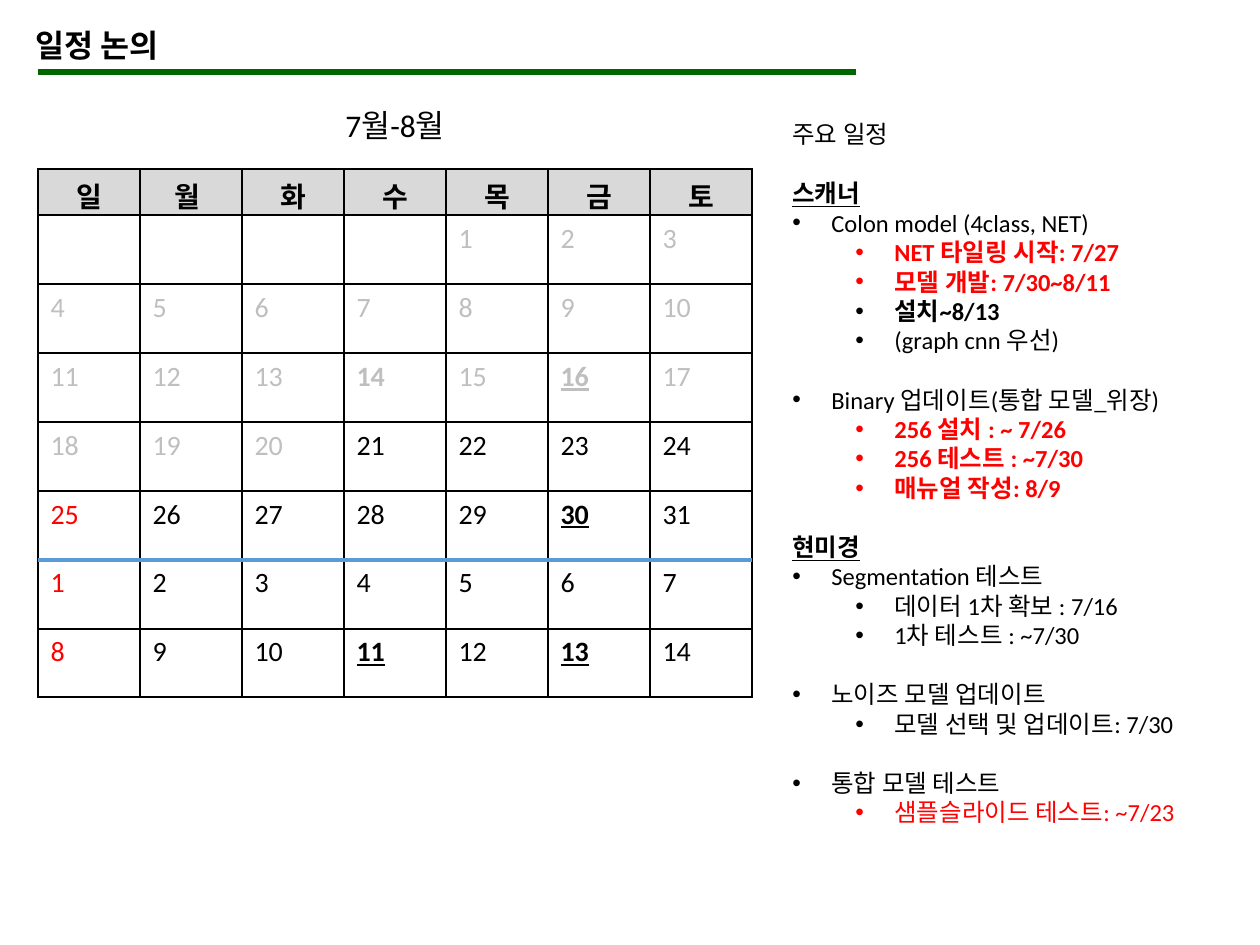
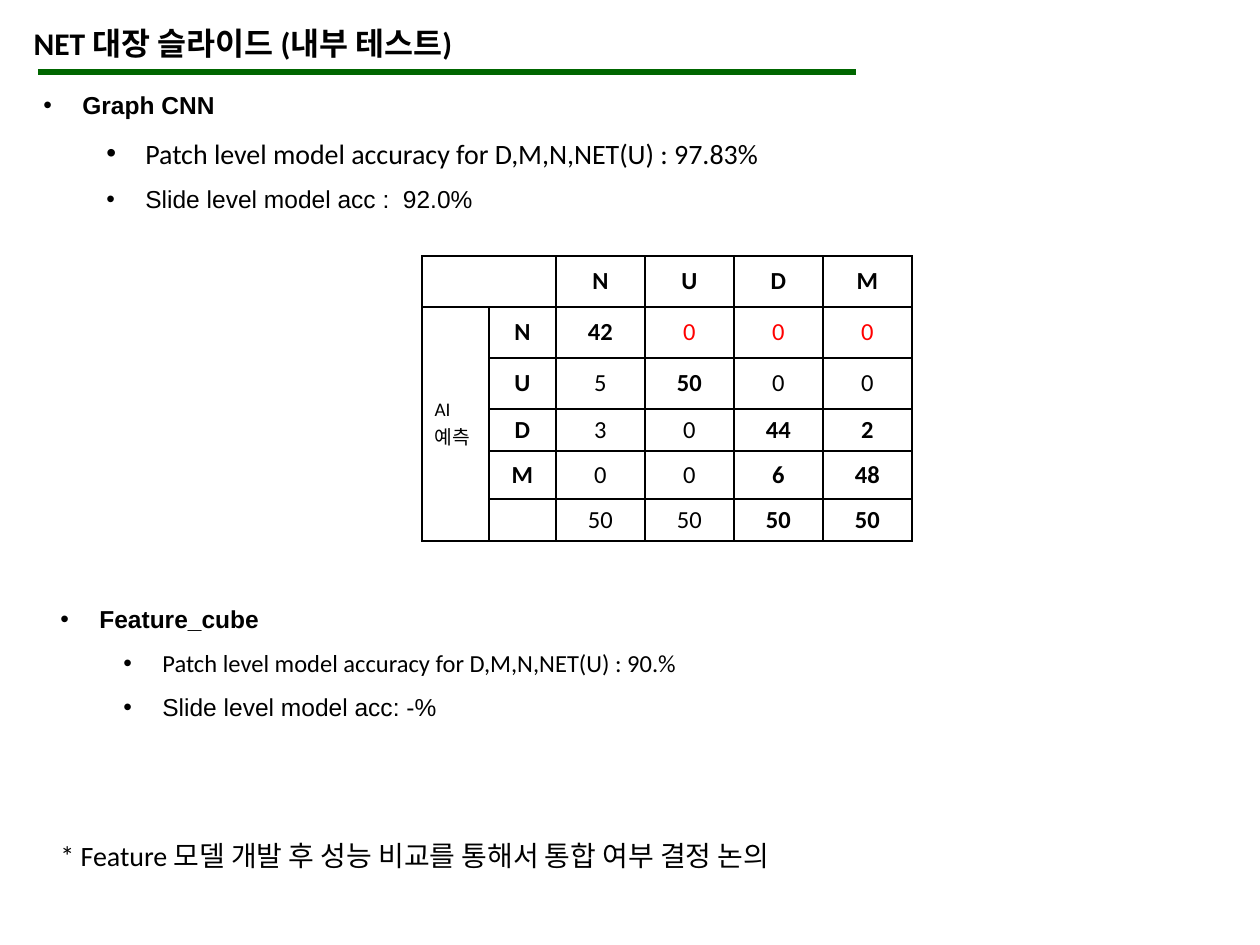
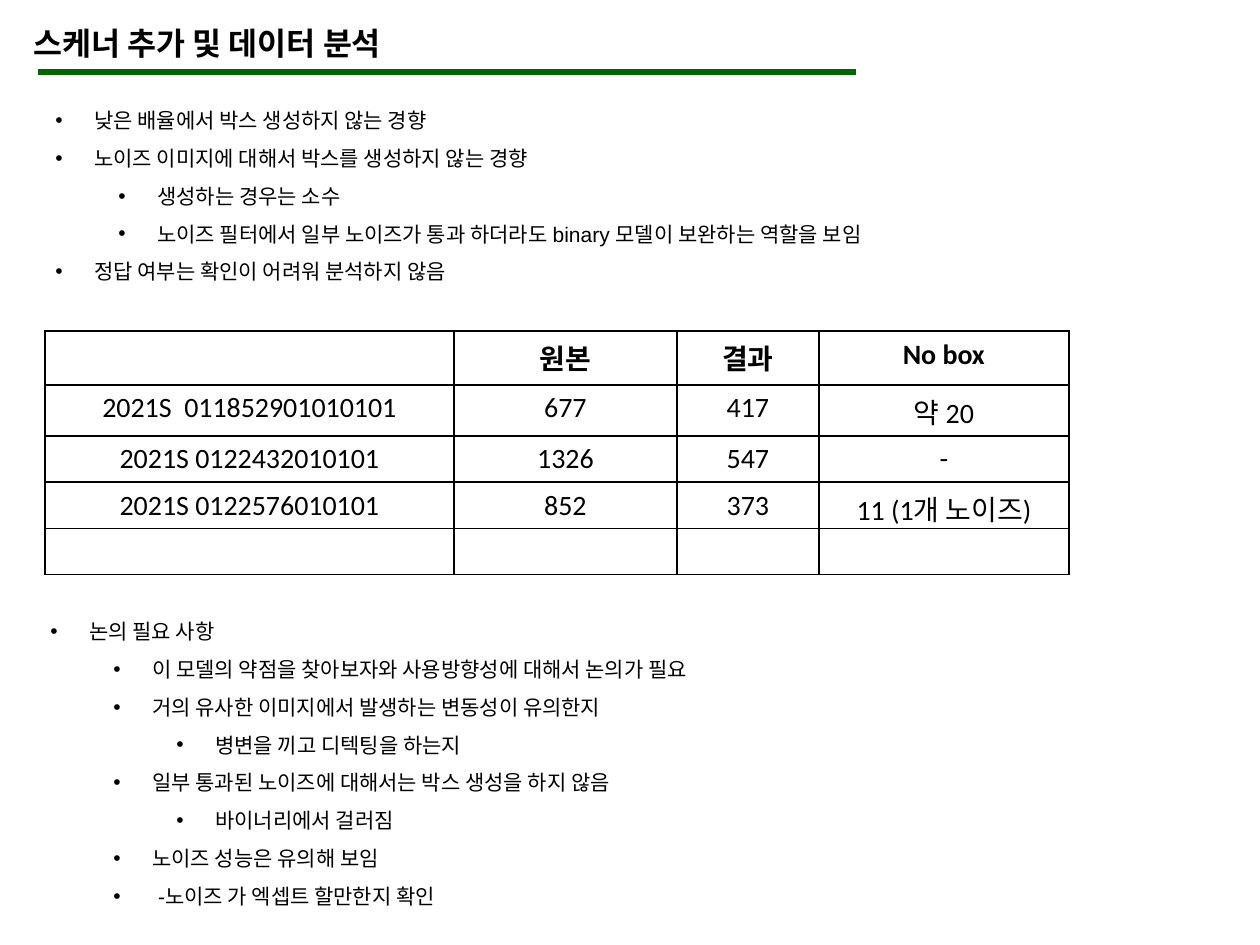
import dataclasses
import typing

import lxml.etree
import pptx
import pptx.dml.color
import pptx.enum.shapes
import pptx.enum.text
import pptx.oxml.ns
import pptx.util

PX_PER_INCH = 126
BLACK, WHITE, RED = "000000", "FFFFFF", "FF0000"
GREEN, BLUE, PAST_GRAY, HEADER_GRAY = "006600", "5B9BD5", "BFBFBF", "D9D9D9"
BODY_FONT, LIST_FONT = "Calibri", "Arial"
INDENT, LEVEL_STEP = 39, 63
CENTER = pptx.enum.text.PP_ALIGN.CENTER
TOP = pptx.enum.text.MSO_ANCHOR.TOP
MIDDLE = pptx.enum.text.MSO_ANCHOR.MIDDLE


class Box(typing.NamedTuple):
    left: int
    top: int
    width: int
    height: int


@dataclasses.dataclass
class Entry:
    text: str
    level: int | None = 0
    size: int = 14
    font: str = BODY_FONT
    color: str = BLACK
    bold: bool = False
    underline: bool = False
    space_before: int = 0


@dataclasses.dataclass
class Cell:
    text: str = ""
    size: int = 16
    color: str = BLACK
    bold: bool = False
    underline: bool = False
    centered: bool = True
    fill: str = WHITE
    anchor: typing.Any = TOP


def px(length: int) -> int:
    return round(length * 914400 / PX_PER_INCH)


def rgb(value: str) -> pptx.dml.color.RGBColor:
    return pptx.dml.color.RGBColor.from_string(value)


def add_element(parent, tag: str, **attributes: str):
    return lxml.etree.SubElement(parent, pptx.oxml.ns.qn(tag), **attributes)


def write(paragraph, text: str, *, size: int = 14, font: str = BODY_FONT, color: str = BLACK,
          bold: bool = False, underline: bool = False, align=pptx.enum.text.PP_ALIGN.LEFT,
          level: int | None = None, line_spacing: float = 1.0, space_before: int = 0) -> None:
    paragraph.alignment = align
    paragraph.line_spacing = line_spacing
    if space_before:
        paragraph.space_before = pptx.util.Pt(space_before)
    if level is not None:
        paragraph.level = level
        properties = paragraph._p.get_or_add_pPr()
        properties.set("marL", str(px(INDENT + level * LEVEL_STEP)))
        properties.set("indent", str(-px(INDENT)))
        add_element(properties, "a:buFont", typeface="Arial")
        add_element(properties, "a:buChar", char="•")
    if not text:
        add_element(paragraph._p, "a:endParaRPr", sz=str(size * 100))
        return
    paragraph.text = text
    for run in paragraph.runs:
        run.font.size = pptx.util.Pt(size)
        run.font.name = font
        run.font.bold = bold
        run.font.underline = underline
        run.font.color.rgb = rgb(color)


def fit_text(text_frame) -> None:
    text_frame.word_wrap = True
    text_frame.auto_size = pptx.enum.text.MSO_AUTO_SIZE.SHAPE_TO_FIT_TEXT
    text_frame.vertical_anchor = TOP


def add_line(slide, left: int, right: int, y: int, color: str, width: float) -> None:
    connector = slide.shapes.add_connector(
        pptx.enum.shapes.MSO_CONNECTOR.STRAIGHT, px(left), px(y), px(right), px(y))
    connector.line.color.rgb = rgb(color)
    connector.line.width = pptx.util.Pt(width)
    add_element(connector._element.spPr, "a:effectLst")


def add_titled_slide(presentation, text: str, left: int = 21, top: int = 18):
    slide = presentation.slides.add_slide(presentation.slide_layouts[5])
    title = slide.shapes.title
    title.left, title.top, title.width, title.height = map(px, Box(left, top, 742, 50))
    fit_text(title.text_frame)
    write(title.text_frame.paragraphs[0], text, size=18, bold=True)
    add_line(slide, 38, 856, 72, GREEN, 3)
    return slide


def add_text(slide, box: Box, entries: list[Entry], line_spacing: float = 1.0) -> None:
    text_frame = slide.shapes.add_textbox(*map(px, box)).text_frame
    fit_text(text_frame)
    for index, entry in enumerate(entries):
        paragraph = text_frame.add_paragraph() if index else text_frame.paragraphs[0]
        write(paragraph, line_spacing=line_spacing, **dataclasses.asdict(entry))


def format_cell(table_cell, cell: Cell) -> None:
    table_cell.fill.solid()
    table_cell.fill.fore_color.rgb = rgb(cell.fill)
    table_cell.vertical_anchor = cell.anchor
    properties = table_cell._tc.get_or_add_tcPr()
    for position, tag in enumerate(("a:lnL", "a:lnR", "a:lnT", "a:lnB")):
        border = add_element(properties, tag, w="12700")
        add_element(add_element(border, "a:solidFill"), "a:srgbClr", val=BLACK)
        properties.insert(position, border)
    write(table_cell.text_frame.paragraphs[0], cell.text, size=cell.size, color=cell.color,
          bold=cell.bold, underline=cell.underline,
          align=CENTER if cell.centered else pptx.enum.text.PP_ALIGN.LEFT)


def add_table(slide, left: int, top: int, widths: list[int], heights: list[int],
              rows: list[list[Cell]]):
    box = Box(left, top, sum(widths), sum(heights))
    table = slide.shapes.add_table(len(heights), len(widths), *map(px, box)).table
    table.first_row = table.horz_banding = False
    for column, width in zip(table.columns, widths):
        column.width = px(width)
    for row, height in zip(table.rows, heights):
        row.height = px(height)
    for row_index, row in enumerate(rows):
        for column_index, cell in enumerate(row):
            format_cell(table.cell(row_index, column_index), cell)
    return table


def calendar_rows() -> list[list[Cell]]:
    today, bold_only, deadlines = 24, {17}, {19, 33, 45, 47}
    days = [""] * 4 + [str(day) for day in (*range(1, 32), *range(1, 15))]
    cells = []
    for index, day in enumerate(days):
        color = PAST_GRAY if index < today else RED if index % 7 == 0 else BLACK
        cells.append(Cell(day, color=color, bold=index in bold_only | deadlines,
                          underline=index in deadlines, centered=False))
    header = [Cell(day, bold=True, fill=HEADER_GRAY, anchor=MIDDLE)
              for day in ("일", "월 ", "화", "수", "목", "금", "토")]
    return [header] + [cells[start:start + 7] for start in range(0, len(cells), 7)]


def build_schedule(presentation) -> None:
    slide = add_titled_slide(presentation, "일정 논의", 23, 20)
    add_table(slide, 38, 169, [102] * 7, [46] + [69] * 6 + [68], calendar_rows())
    gap = 17
    add_text(slide, Box(780, 113, 472, 755), [
        Entry("주요 일정", None),
        Entry("스캐너", None, bold=True, underline=True, space_before=gap),
        Entry("Colon model (4class, NET)"),
        Entry("NET 타일링 시작: 7/27", 1, color=RED, bold=True),
        Entry("모델 개발: 7/30~8/11", 1, color=RED, bold=True),
        Entry("설치~8/13", 1, bold=True),
        Entry("(graph cnn 우선)", 1),
        Entry("Binary 업데이트(통합 모델_위장)", space_before=gap),
        Entry("256 설치 : ~ 7/26", 1, color=RED, bold=True),
        Entry("256 테스트 : ~7/30", 1, color=RED, bold=True),
        Entry("매뉴얼 작성: 8/9", 1, color=RED, bold=True),
        Entry("현미경", None, bold=True, underline=True, space_before=gap),
        Entry("Segmentation 테스트"),
        Entry("데이터 1차 확보 : 7/16", 1),
        Entry("1차 테스트 : ~7/30", 1),
        Entry("노이즈 모델 업데이트", space_before=gap),
        Entry("모델 선택 및 업데이트: 7/30", 1),
        Entry("통합 모델 테스트", space_before=gap),
        Entry("샘플슬라이드 테스트: ~7/23", 1, color=RED),
    ])
    add_text(slide, Box(333, 100, 164, 50), [Entry("7월-8월", None, size=18)])
    add_line(slide, 38, 752, 560, BLUE, 2.25)


def confusion_rows() -> list[list[Cell]]:
    values = [
        ["", "", "N", "U", "D", "M"],
        ["AI\n예측", "N", "42", "0", "0", "0"],
        ["", "U", "5", "50", "0", "0"],
        ["", "D", "3", "0", "44", "2"],
        ["", "M", "0", "0", "6", "48"],
        ["", "", "50", "50", "50", "50"],
    ]
    rows = []
    for row, texts in enumerate(values):
        rows.append([])
        for column, text in enumerate(texts):
            bold = row == 0 or column in (1, row + 1) or (row >= 3 and column >= 4)
            rows[-1].append(Cell(text, 14 if column else 11, bold=bold and column > 0,
                                 color=RED if row == 1 and column > 2 else BLACK,
                                 centered=column > 0, anchor=MIDDLE))
    return rows


def build_internal_test(presentation) -> None:
    slide = add_titled_slide(presentation, "NET 대장 슬라이드 (내부 테스트)")
    add_text(slide, Box(31, 69, 1198, 198), [
        Entry("Graph CNN", font=LIST_FONT, bold=True),
        Entry("Patch level model accuracy for D,M,N,NET(U) : 97.83%", 1, size=16),
        Entry("Slide level model acc :  92.0%", 1, font=LIST_FONT),
    ], 1.5)
    table = add_table(slide, 422, 256, [67, 67, 89, 89, 89, 89], [51, 51, 51, 42, 48, 42],
                      confusion_rows())
    table.cell(0, 0).merge(table.cell(0, 1))
    table.cell(1, 0).merge(table.cell(5, 0))
    add_text(slide, Box(48, 583, 1198, 146), [
        Entry("Feature_cube", font=LIST_FONT, bold=True),
        Entry("Patch level model accuracy for D,M,N,NET(U) : 90.%", 1),
        Entry("Slide level model acc: -%", 1, font=LIST_FONT),
    ], 1.5)
    add_text(slide, Box(48, 832, 989, 47), [
        Entry("* Feature 모델 개발 후 성능 비교를 통해서 통합 여부 결정 논의", None, size=16)])


def add_notes_list(slide, box: Box, items: list[tuple[int, str]]) -> None:
    add_text(slide, box, [Entry(text, level, size=12, font=LIST_FONT) for level, text in items],
             1.5)


def build_scanner_analysis(presentation) -> None:
    slide = add_titled_slide(presentation, "스케너 추가 및 데이터 분석")
    add_notes_list(slide, Box(43, 89, 1198, 242), [
        (0, "낮은 배율에서 박스 생성하지 않는 경향"),
        (0, "노이즈 이미지에 대해서 박스를 생성하지 않는 경향"),
        (1, "생성하는 경우는 소수"),
        (1, "노이즈 필터에서 일부 노이즈가 통과 하더라도 binary 모델이 보완하는 역할을 보임"),
        (0, "정답 여부는 확인이 어려워 분석하지 않음"),
    ])
    values = [
        ["", "원본", "결과", "No box"],
        ["2021S  011852901010101", "677", "417", "약 20"],
        ["2021S 0122432010101", "1326", "547", "-"],
        ["2021S 0122576010101", "852", "373", "11 (1개 노이즈)"],
        [""] * 4,
    ]
    rows = [[Cell(text, bold=index == 0) for text in texts] for index, texts in enumerate(values)]
    add_table(slide, 45, 331, [409, 223, 142, 250], [54, 51, 46, 46, 46], rows)
    add_notes_list(slide, Box(38, 600, 1194, 318), [
        (0, "논의 필요 사항"),
        (1, "이 모델의 약점을 찾아보자와 사용방향성에 대해서 논의가 필요"),
        (1, "거의 유사한 이미지에서 발생하는 변동성이 유의한지"),
        (2, "병변을 끼고 디텍팅을 하는지"),
        (1, "일부 통과된 노이즈에 대해서는 박스 생성을 하지 않음"),
        (2, "바이너리에서 걸러짐"),
        (1, "노이즈 성능은 유의해 보임"),
        (1, " -노이즈 가 엑셉트 할만한지 확인"),
    ])


def main() -> None:
    presentation = pptx.Presentation()
    presentation.slide_width, presentation.slide_height = px(1260), px(945)
    build_schedule(presentation)
    build_internal_test(presentation)
    build_scanner_analysis(presentation)
    presentation.save("out.pptx")


if __name__ == "__main__":
    main()
